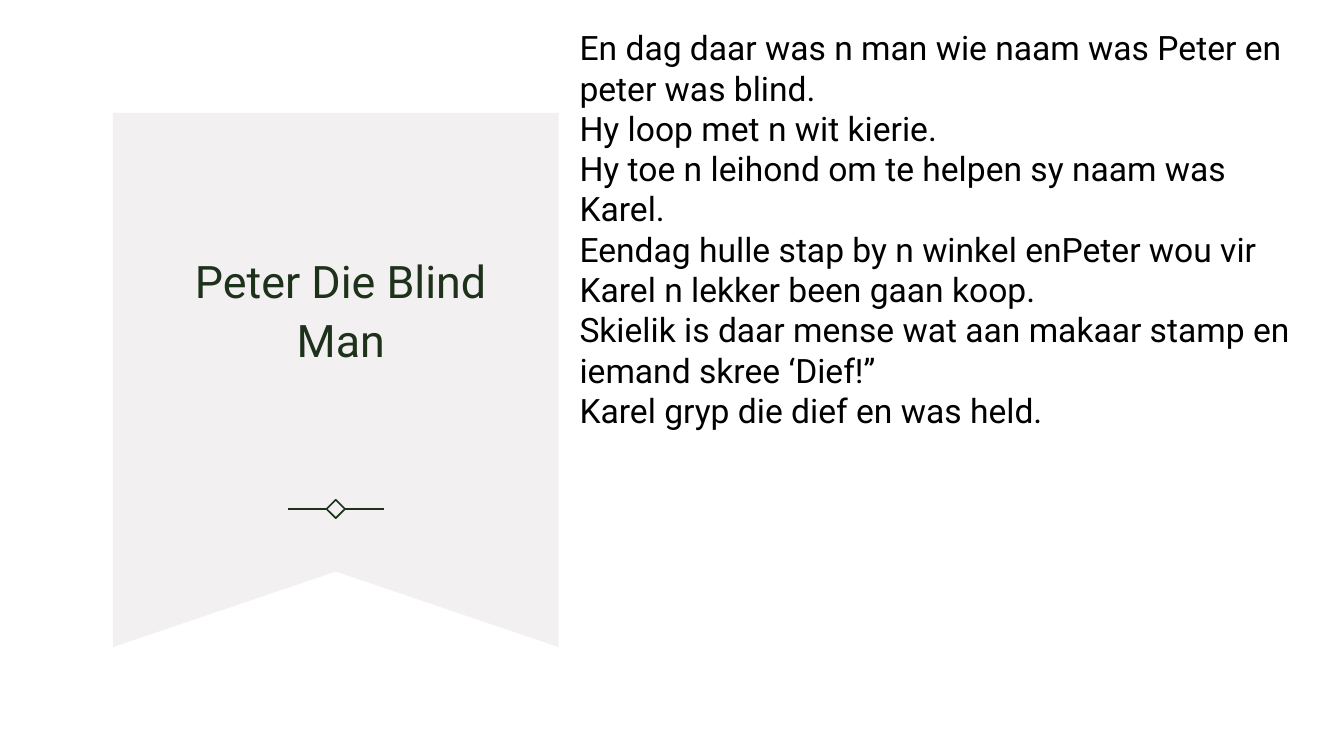
from collections import namedtuple

from lxml import etree
from pptx import Presentation
from pptx.dml.color import RGBColor
from pptx.enum import shapes, text
from pptx.oxml import ns
from pptx.util import Inches, Pt

WHITE = RGBColor(0xFF, 0xFF, 0xFF)
BLACK = RGBColor(0x00, 0x00, 0x00)
GREEN = RGBColor(0x1D, 0x31, 0x1B)
BANNER_GREY = RGBColor(0xF3, 0xF0, 0xF1)
FONT = "Roboto"

TITLE = "Peter Die Blind Man"
STORY = [
    "En dag daar was n man wie naam was Peter en peter was blind.",
    "Hy loop met n wit kierie.",
    "Hy toe n leihond om te helpen sy naam was Karel.",
    "Eendag hulle stap by n winkel enPeter wou vir Karel n lekker been gaan koop.",
    "Skielik is daar mense wat aan makaar stamp en iemand skree ‘Dief!’’",
    "Karel gryp die dief en was held.",
]

# Lengths in inches
Box = namedtuple("Box", "left top width height")


def add_text(page, box, paragraphs, size, color):
    """Add a wrapping text box and return its text frame."""
    frame = page.shapes.add_textbox(*map(Inches, box)).text_frame
    frame.word_wrap = True
    frame.text = "\n".join(paragraphs)
    for para in frame.paragraphs:
        para.font.name = FONT
        para.font.size = Pt(size)
        para.font.color.rgb = color
    return frame


def add_ornament(page, center_x, center_y):
    """Draw a small diamond between two short rules."""
    side, gap, reach = 0.13, 0.09, 0.475
    diamond = page.shapes.add_shape(
        shapes.MSO_SHAPE.RECTANGLE, Inches(center_x - side / 2),
        Inches(center_y - side / 2), Inches(side), Inches(side))
    diamond.rotation = 45
    diamond.shadow.inherit = False
    diamond.fill.background()
    diamond.line.color.rgb = GREEN
    diamond.line.width = Pt(1.25)

    for direction in (-1, 1):
        rule = page.shapes.add_connector(
            shapes.MSO_CONNECTOR.STRAIGHT,
            Inches(center_x + direction * gap), Inches(center_y),
            Inches(center_x + direction * reach), Inches(center_y))
        rule.line.color.rgb = GREEN
        rule.line.width = Pt(1.25)
        etree.SubElement(rule._element.spPr, ns.qn("a:effectLst"))


def add_banner(page, box):
    """Draw the notched banner with its title and ornament."""
    right, bottom = box.left + box.width, box.top + box.height
    center_x, notch = box.left + box.width / 2, 0.75
    corners = [(right, box.top), (right, bottom),
               (center_x, bottom - notch), (box.left, bottom)]
    builder = page.shapes.build_freeform(Inches(box.left), Inches(box.top))
    builder.add_line_segments([(Inches(x), Inches(y)) for x, y in corners])
    banner = builder.convert_to_shape()
    banner.shadow.inherit = False
    banner.fill.solid()
    banner.fill.fore_color.rgb = BANNER_GREY
    banner.line.fill.background()

    add_ornament(page, center_x, bottom - 1.37)

    # Title
    title_box = Box(box.left + 0.42, box.top + 0.36, 3.68, 3.14)
    frame = add_text(page, title_box, [TITLE], 32, GREEN)
    frame.vertical_anchor = text.MSO_ANCHOR.MIDDLE
    frame.paragraphs[0].alignment = text.PP_ALIGN.CENTER
    frame.paragraphs[0].line_spacing = 1.1


def add_story(page, box):
    """Write the story, one paragraph per sentence."""
    frame = add_text(page, box, STORY, 24, BLACK)
    frame.auto_size = text.MSO_AUTO_SIZE.SHAPE_TO_FIT_TEXT


def main():
    deck = Presentation()
    deck.slide_width, deck.slide_height = Inches(13.33), Inches(7.5)
    page = deck.slides.add_slide(deck.slide_layouts[6])
    page.background.fill.solid()
    page.background.fill.fore_color.rgb = WHITE

    add_banner(page, Box(1.12, 1.12, 4.42, 5.3))
    add_story(page, Box(5.65, 0.22, 7.3, 3.74))
    deck.save("out.pptx")


if __name__ == "__main__":
    main()
